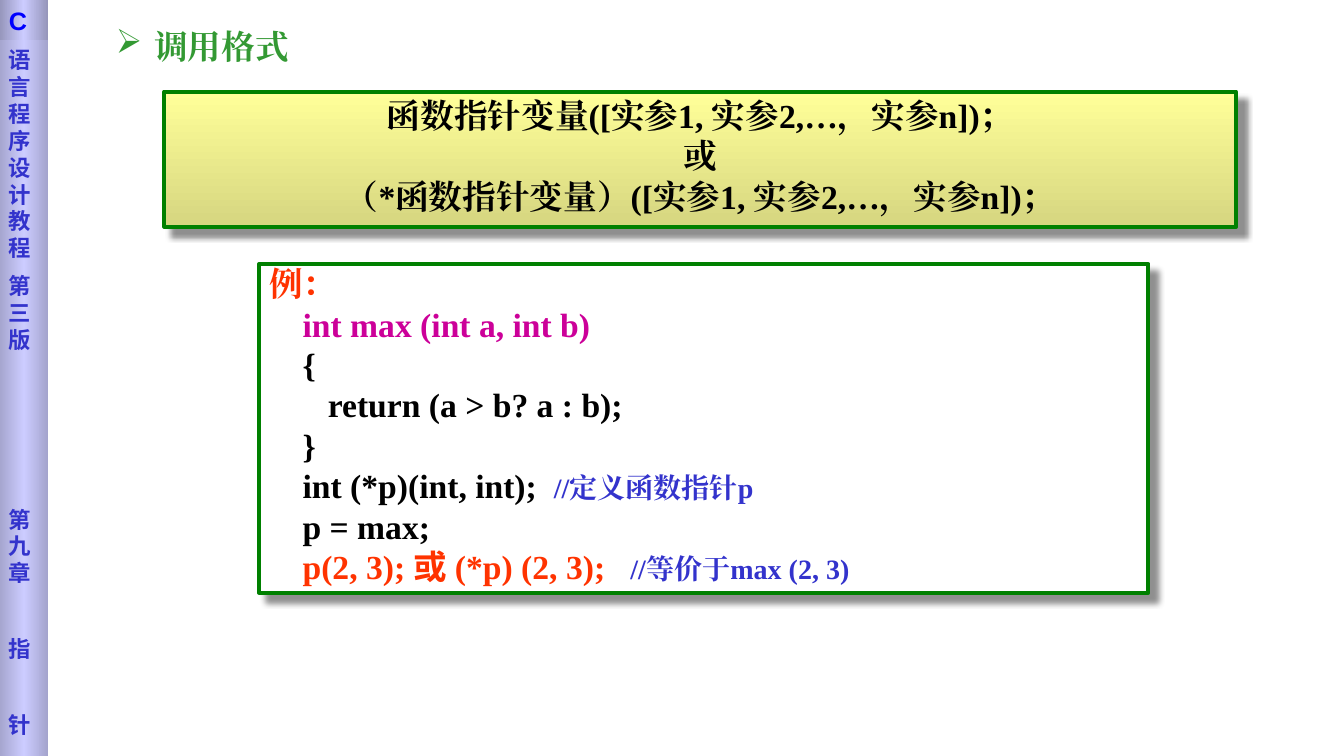
from dataclasses import dataclass

from lxml.etree import SubElement
from pptx import Presentation
from pptx.dml.color import RGBColor
from pptx.enum.shapes import MSO_SHAPE as Shape
from pptx.enum.text import MSO_ANCHOR as Anchor, MSO_AUTO_SIZE as AutoSize, PP_ALIGN as Align
from pptx.oxml import parse_xml
from pptx.oxml.ns import nsdecls, qn
from pptx.util import Inches, Pt


@dataclass(frozen=True)
class Theme:
    serif: str = "Times New Roman"
    cjk: str = "Noto Sans CJK SC"
    side: str = "DejaVu Sans"
    sans: str = "Arial"
    body_size: int = 24
    note_size: int = 20
    letter_size: int = 18
    side_size: int = 16
    heading: str = "339933"
    ink: str = "000000"
    accent: str = "FF3300"
    signature: str = "CC0099"
    note: str = "3333CC"
    letter: str = "0000FF"
    border: str = "008000"
    paper: str = "FFFFFF"
    yellow: str = "FFFF99"
    lilac: str = "CCCCFF"


class SlideBuilder:
    def __init__(self, deck, theme):
        self.theme = theme
        self.page = deck.slides.add_slide(deck.slide_layouts[5])

    def style(self, span, color, size=None, font=None):
        font = font or self.theme.serif
        span.font.name = font
        span.font.size = Pt(size or self.theme.body_size)
        span.font.bold = True
        span.font.color.rgb = RGBColor.from_string(color)
        SubElement(span.font._element, qn("a:ea")).set("typeface", font)

    def hang(self, para):
        """Give the paragraph a hanging indent."""
        props = para._p.get_or_add_pPr()
        props.set("marL", str(Inches(0.38)))
        props.set("indent", str(-Inches(0.38)))
        return props

    def heading(self, text, left, top, width, height):
        title = self.page.shapes.title
        title.left, title.top = Inches(left), Inches(top)
        title.width, title.height = Inches(width), Inches(height)
        frame = title.text_frame
        frame.text = text
        frame.word_wrap = False
        frame.auto_size = AutoSize.SHAPE_TO_FIT_TEXT
        frame.vertical_anchor = Anchor.TOP
        para = frame.paragraphs[0]
        para.alignment = Align.LEFT
        para.line_spacing = 0.8
        SubElement(self.hang(para), qn("a:buChar")).set("char", "➢")
        self.style(para.runs[0], self.theme.heading)

    def gradient(self, box, color, shades, angle):
        """Fill with evenly spaced stops, each a percentage shade of one colour."""
        stops = "".join(
            f'<a:gs pos="{100000 * index // (len(shades) - 1)}"><a:srgbClr val="{color}">'
            f'<a:shade val="{shade * 1000}"/></a:srgbClr></a:gs>'
            for index, shade in enumerate(shades))
        box.fill.background()
        props = box._element.spPr
        props.replace(props.find(qn("a:noFill")), parse_xml(
            f'<a:gradFill {nsdecls("a")}><a:gsLst>{stops}</a:gsLst>'
            f'<a:lin ang="{angle * 60000}" scaled="0"/></a:gradFill>'))

    def rectangle(self, left, top, width, height, shapes=None, anchor=Anchor.TOP):
        shapes = shapes or self.page.shapes
        box = shapes.add_shape(Shape.RECTANGLE, Inches(left), Inches(top),
                               Inches(width), Inches(height))
        box.shadow.inherit = False
        box.line.fill.background()
        box.text_frame.word_wrap = True
        box.text_frame.vertical_anchor = anchor
        return box

    def panel(self, left, top, width, height):
        """Add a green-framed rectangle with a soft shadow."""
        box = self.rectangle(left, top, width, height, anchor=Anchor.MIDDLE)
        box.fill.solid()
        box.fill.fore_color.rgb = RGBColor.from_string(self.theme.paper)
        box.line.color.rgb = RGBColor.from_string(self.theme.border)
        box.line.width = Pt(3)
        box._element.spPr.find(qn("a:effectLst")).append(parse_xml(
            f'<a:outerShdw {nsdecls("a")} blurRad="{Pt(4)}" dist="{Pt(8.4)}" dir="2700000" '
            f'algn="ctr" rotWithShape="0"><a:srgbClr val="{self.theme.ink}">'
            '<a:alpha val="43000"/></a:srgbClr></a:outerShdw>'))
        return box

    def add_lines(self, box, lines, gaps, spacing=1.0, align=Align.LEFT):
        """Fill the box; a line lists (text, colour, size, font) spans, a gap is the space before."""
        frame = box.text_frame
        for index, (line, gap) in enumerate(zip(lines, gaps)):
            para = frame.add_paragraph() if index else frame.paragraphs[0]
            para.alignment = align
            para.line_spacing = spacing
            para.space_before = Pt(gap)
            for text, *look in line:
                span = para.add_run()
                span.text = text
                self.style(span, *look)

    def add_body(self, box, lines, align=Align.LEFT):
        self.add_lines(box, lines, [0] + [5.8] * (len(lines) - 1), 0.8, align)


def main():
    deck = Presentation()
    deck.slide_width, deck.slide_height = Inches(13.33), Inches(7.5)
    theme = Theme()
    builder = SlideBuilder(deck, theme)
    builder.heading("调用格式", 1.05, 0.28, 1.92, 0.42)

    syntax = builder.panel(1.63, 0.91, 10.63, 1.34)
    builder.gradient(syntax, theme.yellow, [100, 67], 90)
    forms = ["函数指针变量([实参1, 实参2,…，实参n])；", "或",
             "（*函数指针变量）([实参1, 实参2,…，实参n])；"]
    builder.add_body(syntax, [[(form, theme.ink)] for form in forms], Align.CENTER)
    for para in syntax.text_frame.paragraphs:
        builder.hang(para)

    example = builder.panel(2.57, 2.62, 8.82, 3.26)
    builder.add_body(example, [
        [("例：", theme.accent)],
        [("    int max (int a, int b)", theme.signature)],
        [("    {", theme.ink)],
        [("       return (a > b? a : b);", theme.ink)],
        [("    }", theme.ink)],
        [("    int (*p)(int, int);  ", theme.ink),
         ("//定义函数指针p", theme.note, theme.note_size)],
        [("    p = max;", theme.ink)],
        [("    p(2, 3); ", theme.accent),
         ("或 ", theme.accent, theme.body_size, theme.cjk),
         ("(*p) (2, 3);   ", theme.accent),
         ("//等价于max (2, 3)", theme.note, theme.note_size)],
    ])

    sidebar = builder.page.shapes.add_group_shape().shapes
    spine = builder.rectangle(-0.01, 0, 0.49, 7.5, sidebar)
    builder.gradient(spine, theme.lilac, [61, 100, 61], 0)
    spine.text_frame.margin_top = Inches(0.46)
    labels = ["语言程序设计教程", "第三版", "第九章", "指", "针"]
    builder.add_lines(spine,
                      [[(label, theme.note, theme.side_size, theme.side)] for label in labels],
                      [0, 8, 109, 35, 35])
    corner = builder.rectangle(-0.01, 0, 0.49, 0.4, sidebar)
    builder.gradient(corner, theme.lilac, [48, 100, 48], 0)
    builder.add_lines(corner, [[("C", theme.letter, theme.letter_size, theme.sans)]], [0])

    deck.save("out.pptx")


if __name__ == "__main__":
    main()
